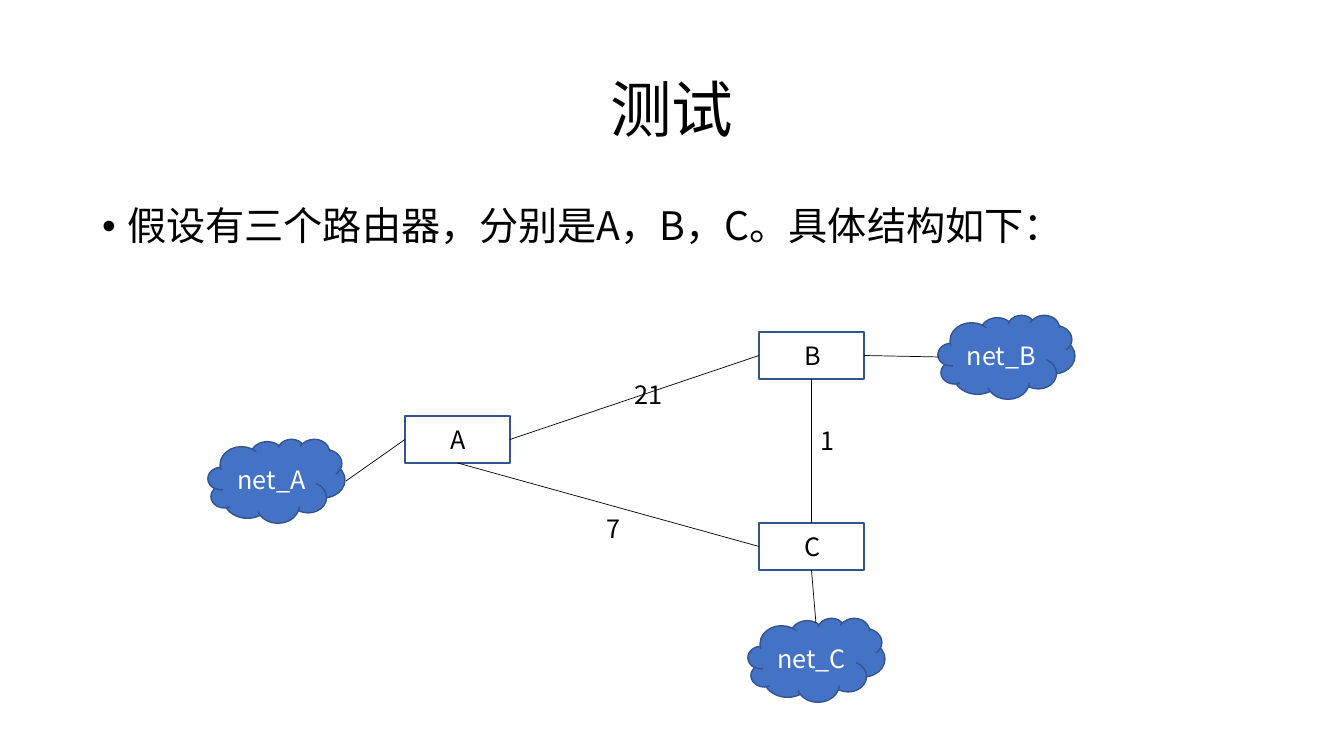
from lxml import etree
from pptx import Presentation, util as u
from pptx.dml.color import RGBColor
from pptx.enum import shapes, text
from pptx.oxml.ns import qn

PX = 914400 / 100.8
FONT = "Noto Sans CJK SC"
BLACK, WHITE, BLUE, NAVY = "000000", "FFFFFF", "4472C4", "325491"

TITLE = "测试"
BODY = "假设有三个路由器，分别是A，B，C。具体结构如下："
ROUTER_SIZE = (105, 47)
CLOUD_SIZE = (137, 84)
ROUTERS = {"A": (405, 416), "B": (759, 332), "C": (759, 523)}
CLOUDS = {"A": (208, 439), "B": (938, 315), "C": (748, 618)}
TOP, LEFT, BOTTOM, RIGHT = range(4)
# start router, side, end router, side, cost, position of the cost
LINKS = [
    ("A", RIGHT, "B", LEFT, "21", (625, 374)),
    ("A", BOTTOM, "C", LEFT, "7", (597, 508)),
    ("B", BOTTOM, "C", TOP, "1", (811, 420)),
]
# router, side, point on the edge of its cloud
UPLINKS = [("A", LEFT, (346, 481)), ("B", RIGHT, (939, 357)), ("C", BOTTOM, (816, 623))]


def px(*lengths):
    return [u.Emu(round(length * PX)) for length in lengths]


def color(value):
    return RGBColor.from_string(value)


def write(shape, words, size, ink, align, anchor):
    frame = shape.text_frame
    frame.text = words
    frame.word_wrap = True
    frame.auto_size = text.MSO_AUTO_SIZE.NONE
    frame.vertical_anchor = anchor
    paragraph = frame.paragraphs[0]
    paragraph.alignment = align
    font = paragraph.runs[0].font
    font.size, font.name = u.Pt(size), FONT
    font.color.rgb = color(ink)
    properties = paragraph.runs[0]._r.get_or_add_rPr()
    etree.SubElement(properties, qn("a:ea")).set("typeface", FONT)
    return paragraph


def fill_placeholder(shape, box, words, size, align, anchor):
    shape.left, shape.top, shape.width, shape.height = px(*box)
    paragraph = write(shape, words, size, BLACK, align, anchor)
    paragraph.line_spacing = 0.9
    return paragraph


def add_label(slide, words, left, top, width):
    label = slide.shapes.add_textbox(*px(left, top, width, 40))
    write(label, words, 18, BLACK, text.PP_ALIGN.LEFT, text.MSO_ANCHOR.TOP)


def add_node(slide, kind, position, size):
    node = slide.shapes.add_shape(kind, *px(*position, *size))
    node.shadow.inherit = False
    node.line.color.rgb = color(NAVY)
    node.line.width = u.Pt(1)
    return node


def add_link(slide, start, side, end=(0, 0)):
    link = slide.shapes.add_connector(shapes.MSO_CONNECTOR.STRAIGHT, 0, 0, *px(*end))
    link.begin_connect(start, side)
    link.line.color.rgb = color(BLACK)
    link.line.width = u.Pt(0.5)
    etree.SubElement(link._element.spPr, qn("a:effectLst"))
    return link


def main():
    presentation = Presentation()
    presentation.slide_width, presentation.slide_height = px(1344, 756)
    slide = presentation.slides.add_slide(presentation.slide_layouts[1])
    title, body = slide.placeholders

    fill_placeholder(title, (92, 40, 1160, 146), TITLE, 44,
                     text.PP_ALIGN.CENTER, text.MSO_ANCHOR.MIDDLE)
    item = fill_placeholder(body, (92, 202, 1160, 480), BODY, 28,
                            text.PP_ALIGN.LEFT, text.MSO_ANCHOR.TOP)
    item.space_before = u.Pt(10)
    properties = item._p.get_or_add_pPr()
    properties.set("marL", str(u.Inches(0.25)))
    properties.set("indent", str(-u.Inches(0.25)))
    etree.SubElement(properties, qn("a:buFont")).set("typeface", "Arial")
    etree.SubElement(properties, qn("a:buChar")).set("char", "•")

    routers = {}
    for name, (left, top) in ROUTERS.items():
        routers[name] = add_node(slide, shapes.MSO_SHAPE.RECTANGLE, (left, top), ROUTER_SIZE)
        routers[name].fill.background()
        add_label(slide, name, left + 36, top + 3, 32)

    for start, start_side, end, end_side, cost, position in LINKS:
        link = add_link(slide, routers[start], start_side)
        link.end_connect(routers[end], end_side)
        add_label(slide, cost, *position, 76)

    for name, position in CLOUDS.items():
        cloud = add_node(slide, shapes.MSO_SHAPE.CLOUD, position, CLOUD_SIZE)
        cloud.fill.solid()
        cloud.fill.fore_color.rgb = color(BLUE)
        write(cloud, f"net_{name}", 18, WHITE, text.PP_ALIGN.CENTER, text.MSO_ANCHOR.MIDDLE)

    for name, side, cloud_edge in UPLINKS:
        add_link(slide, routers[name], side, cloud_edge)

    presentation.save("out.pptx")


if __name__ == "__main__":
    main()
